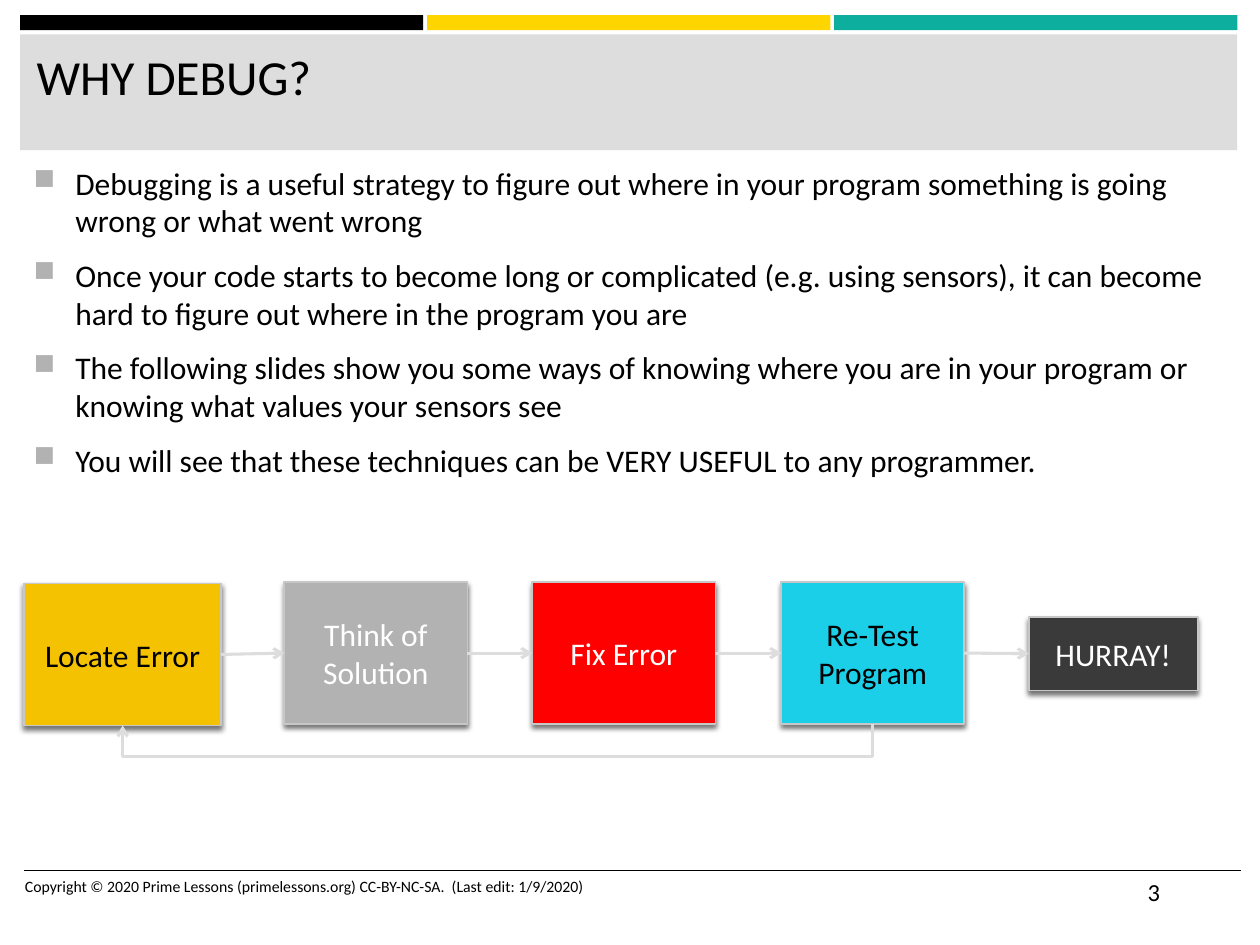
from dataclasses import dataclass

from lxml.etree import SubElement
from pptx import Presentation
from pptx.dml.color import RGBColor
from pptx.enum.shapes import MSO_CONNECTOR, MSO_SHAPE
from pptx.enum.text import MSO_ANCHOR, PP_ALIGN
from pptx.oxml.ns import qn
from pptx.util import Pt

BLACK = RGBColor(0x00, 0x00, 0x00)
WHITE = RGBColor(0xFF, 0xFF, 0xFF)
YELLOW = RGBColor(0xFF, 0xD5, 0x00)
TEAL = RGBColor(0x0E, 0xAE, 0x9F)
PALE_GRAY = RGBColor(0xDD, 0xDD, 0xDD)
EDGE_GRAY = RGBColor(0xC7, 0xC7, 0xC7)
MID_GRAY = RGBColor(0xB2, 0xB2, 0xB2)
DARK_GRAY = RGBColor(0x3A, 0x3A, 0x3A)
GOLD = RGBColor(0xF5, 0xC2, 0x01)
RED = RGBColor(0xFF, 0x00, 0x00)
CYAN = RGBColor(0x1B, 0xCF, 0xE9)

FONT = "Calibri"
LOOP_DROP = 18.6
INDENT = 23.8


@dataclass
class Area:
    left: float
    top: float
    width: float
    height: float

    def lengths(self):
        return [Pt(value) for value in (self.left, self.top, self.width, self.height)]


@dataclass
class Step:
    label: str
    area: Area
    fill: RGBColor
    ink: RGBColor


STEPS = [
    Step("Locate Error", Area(13.8, 333.4, 112.6, 81.2), GOLD, BLACK),
    Step("Think of Solution", Area(162.5, 332.6, 104.6, 81.2), MID_GRAY, WHITE),
    Step("Fix Error", Area(304.2, 332.6, 104.6, 81.2), RED, WHITE),
    Step("Re-Test Program", Area(446.4, 332.6, 104.6, 81.2), CYAN, BLACK),
    Step("HURRAY!", Area(587.9, 352.4, 96.5, 42.2), DARK_GRAY, WHITE),
]

POINTS = [
    "Debugging is a useful strategy to figure out where in your program something is going wrong or what went wrong",
    "Once your code starts to become long or complicated (e.g. using sensors), it can become hard to figure out where in the program you are",
    "The following slides show you some ways of knowing where you are in your program or knowing what values your sensors see",
    "You will see that these techniques can be VERY USEFUL to any programmer.",
]


def set_all(target, formats: dict):
    for name, value in formats.items():
        setattr(target, name, value)


def set_font(para, size: float, color: RGBColor):
    set_all(para.font, {"name": FONT, "size": Pt(size), "bold": False})
    para.font.color.rgb = color


def add_bar(page, area: Area, fill: RGBColor):
    bar = page.shapes.add_shape(MSO_SHAPE.RECTANGLE, *area.lengths())
    bar.shadow.inherit = False
    bar.fill.solid()
    bar.fill.fore_color.rgb = fill
    bar.line.fill.background()


def add_text(page, area: Area, lines: list[str], size: float, bulleted: bool = False):
    box = page.shapes.add_textbox(*area.lengths())
    frame = box.text_frame
    frame.word_wrap = True
    for index, line in enumerate(lines):
        para = frame.paragraphs[0] if index == 0 else frame.add_paragraph()
        para.text = line
        if bulleted:
            add_bullet(para)
            para.space_after = Pt(6)
            if index:
                para.space_before = Pt(3.6)
        set_font(para, size, BLACK)


def add_bullet(para):
    properties = para._p.get_or_add_pPr()
    properties.set("marL", str(Pt(INDENT)))
    properties.set("indent", str(-Pt(INDENT)))
    color = SubElement(properties, qn("a:buClr"))
    SubElement(color, qn("a:srgbClr"), val=str(MID_GRAY))
    SubElement(properties, qn("a:buSzPct"), val="92000")
    SubElement(properties, qn("a:buChar"), char="■")


def add_drop_shadow(shape):
    shape.shadow.inherit = False
    effects = shape._element.spPr.find(qn("a:effectLst"))
    shadow = SubElement(effects, qn("a:outerShdw"), blurRad=str(Pt(3)),
                        dist=str(Pt(2)), dir="5400000", rotWithShape="0")
    color = SubElement(shadow, qn("a:srgbClr"), val=str(BLACK))
    SubElement(color, qn("a:alpha"), val="55000")


def add_step(page, step: Step):
    shape = page.shapes.add_shape(MSO_SHAPE.FLOWCHART_PROCESS, *step.area.lengths())
    shape.fill.solid()
    shape.fill.fore_color.rgb = step.fill
    shape.line.color.rgb = EDGE_GRAY
    shape.line.width = Pt(1)
    add_drop_shadow(shape)
    frame = shape.text_frame
    set_all(frame, {"word_wrap": True, "vertical_anchor": MSO_ANCHOR.MIDDLE})
    para = frame.paragraphs[0]
    para.text = step.label
    para.alignment = PP_ALIGN.CENTER
    set_font(para, 18, step.ink)
    return shape


def add_line(page, kind, ends: tuple, color: RGBColor, width: float, arrow: bool):
    line = page.shapes.add_connector(kind, *[Pt(value) for value in ends])
    line.line.color.rgb = color
    line.line.width = Pt(width)
    if arrow:
        SubElement(line.line._get_or_add_ln(), qn("a:tailEnd"), type="arrow")
    SubElement(line._element.spPr, qn("a:effectLst"))
    return line


def add_return_loop(page, start: Area, end: Area):
    """Run an elbow arrow from the bottom of start, below the row, to the bottom of end."""
    start_x, end_x = (area.left + area.width / 2 for area in (start, end))
    start_y, end_y = (area.top + area.height for area in (start, end))
    middle_x, middle_y = (start_x + end_x) / 2, (start_y + end_y) / 2
    half_run, half_rise = (start_x - end_x) / 2, (end_y - start_y) / 2
    # A quarter turn makes the elbow leave and arrive vertically.
    ends = (middle_x - half_rise, middle_y - half_run,
            middle_x + half_rise, middle_y + half_run)
    loop = add_line(page, MSO_CONNECTOR.ELBOW, ends, PALE_GRAY, 1.75, True)
    properties = loop._element.spPr
    properties.find(qn("a:xfrm")).set("rot", "5400000")
    geometry = properties.find(qn("a:prstGeom"))
    adjustments = geometry.find(qn("a:avLst"))
    if adjustments is None:
        adjustments = SubElement(geometry, qn("a:avLst"))
    bend = round(LOOP_DROP / (2 * half_rise) * 100000)
    SubElement(adjustments, qn("a:gd"), name="adj1", fmla=f"val {bend}")


def main():
    deck = Presentation()
    set_all(deck, {"slide_width": Pt(720), "slide_height": Pt(540)})
    page = deck.slides.add_slide(deck.slide_layouts[5])

    for index, color in enumerate((BLACK, YELLOW, TEAL)):
        add_bar(page, Area(11.5 + index * 232.6, 8.6, 230.4, 8.6), color)
    add_bar(page, Area(11.5, 19.6, 695.5, 66.2), PALE_GRAY)
    add_line(page, MSO_CONNECTOR.STRAIGHT, (13.7, 497.5, 709.2, 497.5), BLACK, 1, False)

    title = page.shapes.title
    set_all(title, dict(zip(("left", "top", "width", "height"),
                            Area(13.7, 23, 689, 59).lengths())))
    title.text_frame.text = "WHY DEBUG?"
    title.text_frame.vertical_anchor = MSO_ANCHOR.TOP
    heading = title.text_frame.paragraphs[0]
    heading.alignment = PP_ALIGN.LEFT
    set_font(heading, 28, BLACK)
    # The title belongs in front of the gray band.
    page.shapes._spTree.append(title._element)

    add_text(page, Area(12.2, 90, 695.5, 400.3), POINTS, 18, bulleted=True)
    add_text(page, Area(7.2, 497.5, 383.8, 28.8),
             ["Copyright © 2020 Prime Lessons (primelessons.org) CC-BY-NC-SA.  (Last edit: 1/9/2020)"], 9)
    add_text(page, Area(648.7, 497.5, 60.5, 28.8), ["3"], 14)

    shapes = [add_step(page, step) for step in STEPS]
    add_return_loop(page, STEPS[3].area, STEPS[0].area)
    for before, after in zip(shapes, shapes[1:]):
        arrow = add_line(page, MSO_CONNECTOR.STRAIGHT, (0, 0, 0, 0), PALE_GRAY, 1.75, True)
        arrow.begin_connect(before, 3)
        arrow.end_connect(after, 1)

    deck.save("out.pptx")


if __name__ == "__main__":
    main()
